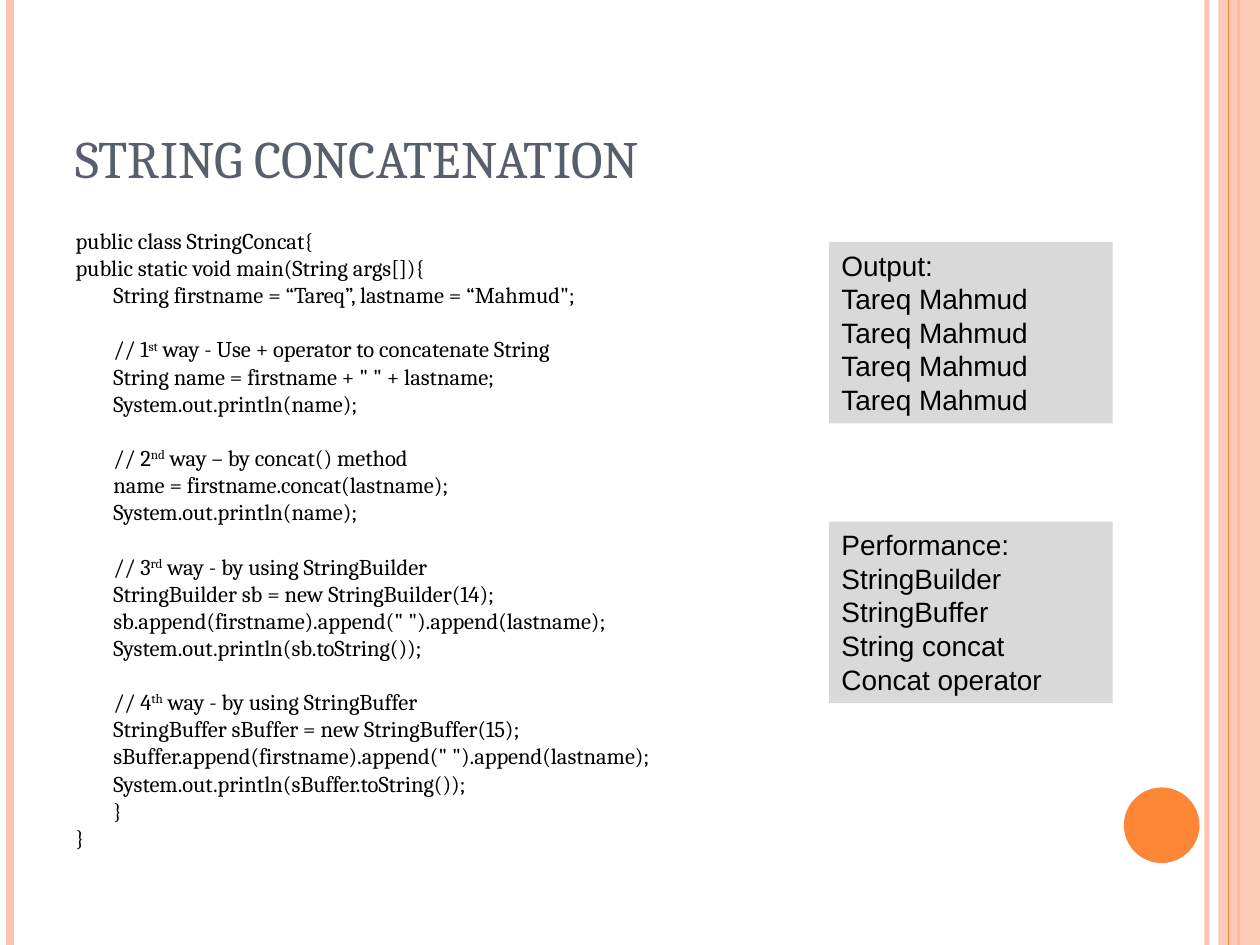
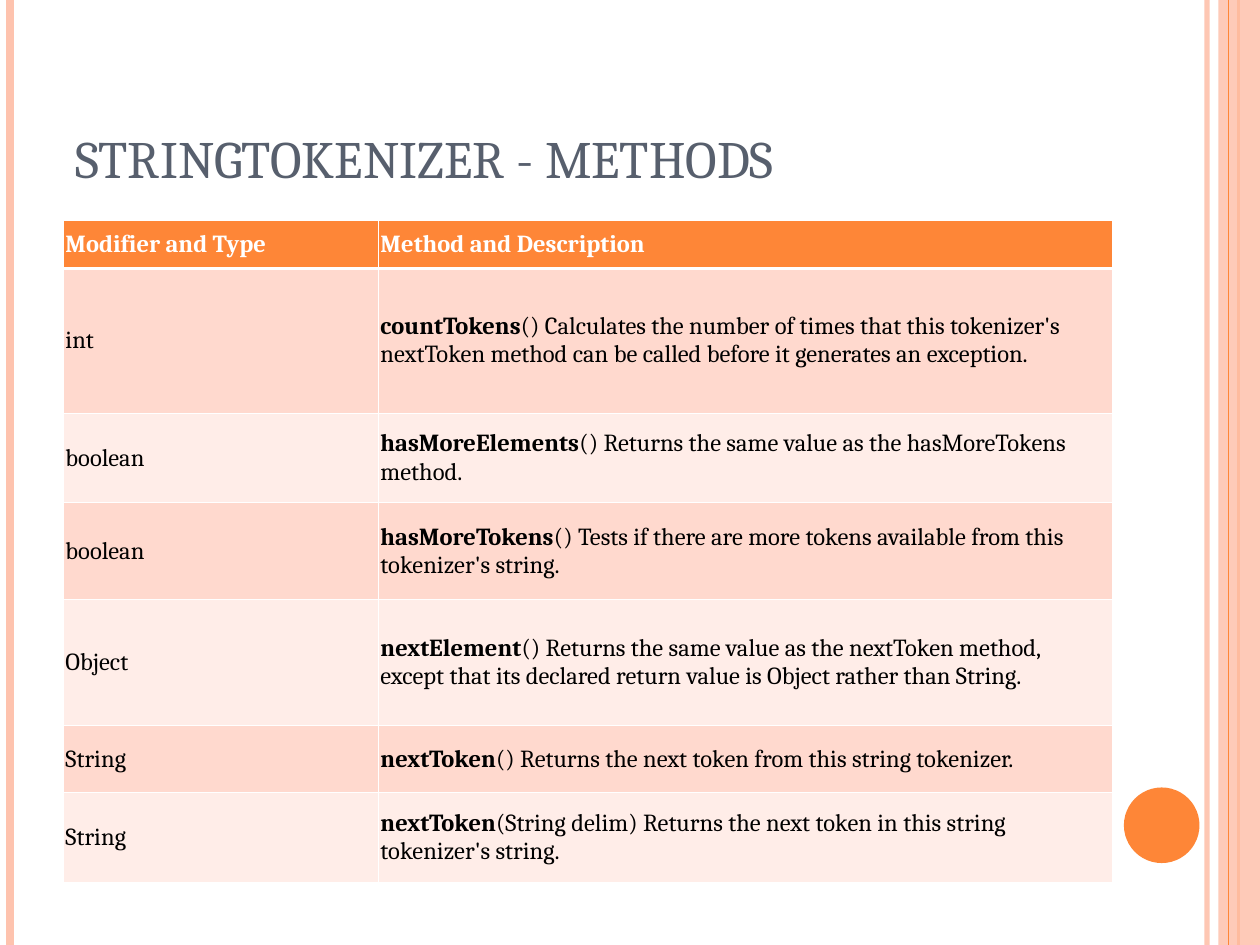
from lxml import etree
from pptx import Presentation
from pptx import util as u
from pptx.dml import color as dml
from pptx.enum import shapes, text
from pptx.oxml import ns

# Shared look
ORANGE, PEACH, SLATE = "FE8637", "FEC3AE", "575F6D"
BLACK, WHITE, GREY = "000000", "FFFFFF", "D9D9D9"
BANDS = ("FFD9CE", "FFEDE8")
SERIF, SANS = "Cambria", "Arial"
TITLE_ONLY, TITLE_AND_BODY = 5, 1
CODE_SIZE, CODE_PITCH = 12.9, 15.5

# Groups of code lines, set apart by a gap; a tab indents, ^ encloses a superscript
CODE = [
    ["public class StringConcat{",
     "public static void main(String args[]){",
     "\tString firstname = “Tareq”, lastname = “Mahmud\";"],
    ["\t// 1^st^ way - Use + operator to concatenate String",
     "\tString name = firstname + \" \" + lastname;",
     "\tSystem.out.println(name);"],
    ["\t// 2^nd^ way – by concat() method",
     "\tname = firstname.concat(lastname);",
     "\tSystem.out.println(name);"],
    ["\t// 3^rd^ way - by using StringBuilder",
     "\tStringBuilder sb = new StringBuilder(14);",
     "\tsb.append(firstname).append(\" \").append(lastname);",
     "\tSystem.out.println(sb.toString());"],
    ["\t// 4^th^ way - by using StringBuffer",
     "\tStringBuffer sBuffer = new StringBuffer(15);",
     "\tsBuffer.append(firstname).append(\" \").append(lastname);",
     "\tSystem.out.println(sBuffer.toString());",
     "\t}",
     "}"],
]
OUTPUT = ["Output:"] + ["Tareq Mahmud"] * 4
PERFORMANCE = ["Performance:", "StringBuilder", "StringBuffer",
               "String concat", "Concat operator"]

# Row height, return type, method name, rest of the description
METHODS = [
    (1.15, "int", "countTokens",
     "() Calculates the number of times that this tokenizer's nextToken "
     "method can be called before it generates an exception."),
    (0.71, "boolean", "hasMoreElements",
     "() Returns the same value as the hasMoreTokens method."),
    (0.77, "boolean", "hasMoreTokens",
     "() Tests if there are more tokens available from this tokenizer's string."),
    (1.0, "Object", "nextElement",
     "() Returns the same value as the nextToken method, except that its "
     "declared return value is Object rather than String."),
    (0.53, "String", "nextToken",
     "() Returns the next token from this string tokenizer."),
    (0.71, "String", "nextToken",
     "(String delim) Returns the next token in this string tokenizer's string."),
]


def rgb(value):
    return dml.RGBColor.from_string(value)


def place(shape, left, top, width, height):
    shape.left, shape.top = u.Inches(left), u.Inches(top)
    shape.width, shape.height = u.Inches(width), u.Inches(height)


def set_alpha(shape, percent):
    color = shape.element.spPr.find(".//" + ns.qn("a:srgbClr"))
    etree.SubElement(color, ns.qn("a:alpha"), val=str(percent * 1000))


def add_span(para, words, size=14, color=BLACK, font=SERIF, bold=False, raised=False):
    span = para.add_run()
    span.text = words
    span.font.size, span.font.name, span.font.bold = u.Pt(size), font, bold
    span.font.color.rgb = rgb(color)
    if raised:
        span.font._element.set("baseline", "30000")


def add_para(frame, index):
    return frame.add_paragraph() if index else frame.paragraphs[0]


# Decoration on the master
def add_vertical_line(page, x, color, width):
    line = page.shapes.add_connector(
        shapes.MSO_CONNECTOR.STRAIGHT, u.Inches(x), 0, u.Inches(x), u.Inches(7.5))
    line.line.color.rgb = rgb(color)
    line.line.width = u.Pt(width)
    etree.SubElement(line.element.spPr, ns.qn("a:effectLst"))
    return line


def add_filled(page, kind, left, top, width, height, color):
    shape = page.shapes.add_shape(kind, *map(u.Inches, (left, top, width, height)))
    shape.shadow.inherit = False
    shape.fill.solid()
    shape.fill.fore_color.rgb = rgb(color)
    shape.line.fill.background()
    return shape


def decorate_master(deck, page):
    """Draw the side bands on a page, then move them to the master."""
    inner_line = add_vertical_line(page, 9.58, PEACH, 3)
    set_alpha(inner_line, 93)
    left_line = add_vertical_line(page, 0.08, PEACH, 4.5)
    band_line = add_vertical_line(page, 9.83, ORANGE, 1.5)
    band = add_filled(page, shapes.MSO_SHAPE.RECTANGLE, 9.67, 0, 0.33, 7.5, PEACH)
    set_alpha(band, 87)
    thin_line = add_vertical_line(page, 9.75, ORANGE, 0.75)
    disc = add_filled(page, shapes.MSO_SHAPE.OVAL, 8.92, 6.25, 0.6, 0.6, ORANGE)
    master_tree = deck.slide_master.shapes.element
    for shape in (inner_line, left_line, band_line, band, thin_line, disc):
        master_tree.append(shape.element)


# Page elements
def add_page(deck, layout, heading):
    page = deck.slides.add_slide(deck.slide_layouts[layout])
    title = page.shapes.title
    place(title, 0.5, 0.3, 8.17, 1.25)
    frame = title.text_frame
    frame.vertical_anchor = text.MSO_ANCHOR.BOTTOM
    frame.auto_size = text.MSO_AUTO_SIZE.NONE
    para = frame.paragraphs[0]
    para.alignment = text.PP_ALIGN.LEFT
    add_span(para, heading, size=30, color=SLATE)
    return page


def fill_code(body):
    place(body, 0.5, 1.75, 8.17, 5.33)
    frame = body.text_frame
    frame.auto_size = text.MSO_AUTO_SIZE.NONE
    lines = [(line, group and not row)
             for group, block in enumerate(CODE) for row, line in enumerate(block)]
    for index, (line, gap) in enumerate(lines):
        para = add_para(frame, index)
        para.line_spacing = u.Pt(CODE_PITCH)
        para.space_before = u.Pt(CODE_PITCH if gap else 0)
        props = para._p.get_or_add_pPr()
        props.set("marL", str(u.Inches(0.3 if line.startswith("\t") else 0)))
        props.set("indent", "0")
        etree.SubElement(props, ns.qn("a:buNone"))
        for part, words in enumerate(line.strip().split("^")):
            add_span(para, words, size=CODE_SIZE, raised=part % 2 == 1)


def add_note(page, top, lines):
    note = add_filled(page, shapes.MSO_SHAPE.RECTANGLE, 6.58, top, 2.25, 1.44, GREY)
    frame = note.text_frame
    frame.word_wrap = True
    frame.vertical_anchor = text.MSO_ANCHOR.TOP
    for index, line in enumerate(lines):
        para = add_para(frame, index)
        para.alignment = text.PP_ALIGN.LEFT
        add_span(para, line, size=16, font=SANS)


def set_borders(cell, **widths):
    props = cell._tc.get_or_add_tcPr()
    for side in "LRTB":
        line = etree.SubElement(props, ns.qn("a:ln" + side),
                                w=str(u.Pt(widths.get(side, 0.45))))
        fill = etree.SubElement(line, ns.qn("a:solidFill"))
        etree.SubElement(fill, ns.qn("a:srgbClr"), val=WHITE)


def format_cell(cell, color, **borders):
    set_borders(cell, **borders)
    cell.fill.solid()
    cell.fill.fore_color.rgb = rgb(color)
    cell.vertical_anchor = text.MSO_ANCHOR.MIDDLE
    cell.margin_left = cell.margin_right = u.Inches(0.02)
    return cell.text_frame.paragraphs[0]


def add_method_table(page):
    frame = page.shapes.add_table(
        len(METHODS) + 1, 2, *map(u.Inches, (0.5, 1.75, 8.33, 5.25)))
    table = frame.table
    table.columns[0].width, table.columns[1].width = u.Inches(2.5), u.Inches(5.83)
    # Header
    table.rows[0].height = u.Inches(0.38)
    for column, heading in enumerate(("Modifier and Type", "Method and Description")):
        para = format_cell(table.cell(0, column), ORANGE, B=1.47)
        add_span(para, heading, color=WHITE, bold=True)
    # Methods, in alternating bands
    for row, (height, kind, method, description) in enumerate(METHODS, 1):
        table.rows[row].height = u.Inches(height)
        top_border = 1.47 if row == 1 else 0.45
        kind_para, method_para = (
            format_cell(table.cell(row, column), BANDS[(row - 1) % 2], T=top_border)
            for column in range(2))
        add_span(kind_para, kind)
        add_span(method_para, method, bold=True)
        add_span(method_para, description)


def main():
    deck = Presentation()
    deck.slide_width, deck.slide_height = u.Inches(10), u.Inches(7.5)

    concat_page = add_page(deck, TITLE_AND_BODY, "STRING CONCATENATION")
    decorate_master(deck, concat_page)
    fill_code(concat_page.placeholders[1])
    add_note(concat_page, 1.92, OUTPUT)
    add_note(concat_page, 4.14, PERFORMANCE)

    methods_page = add_page(deck, TITLE_ONLY, "STRINGTOKENIZER - METHODS")
    add_method_table(methods_page)

    deck.save("out.pptx")


if __name__ == "__main__":
    main()
